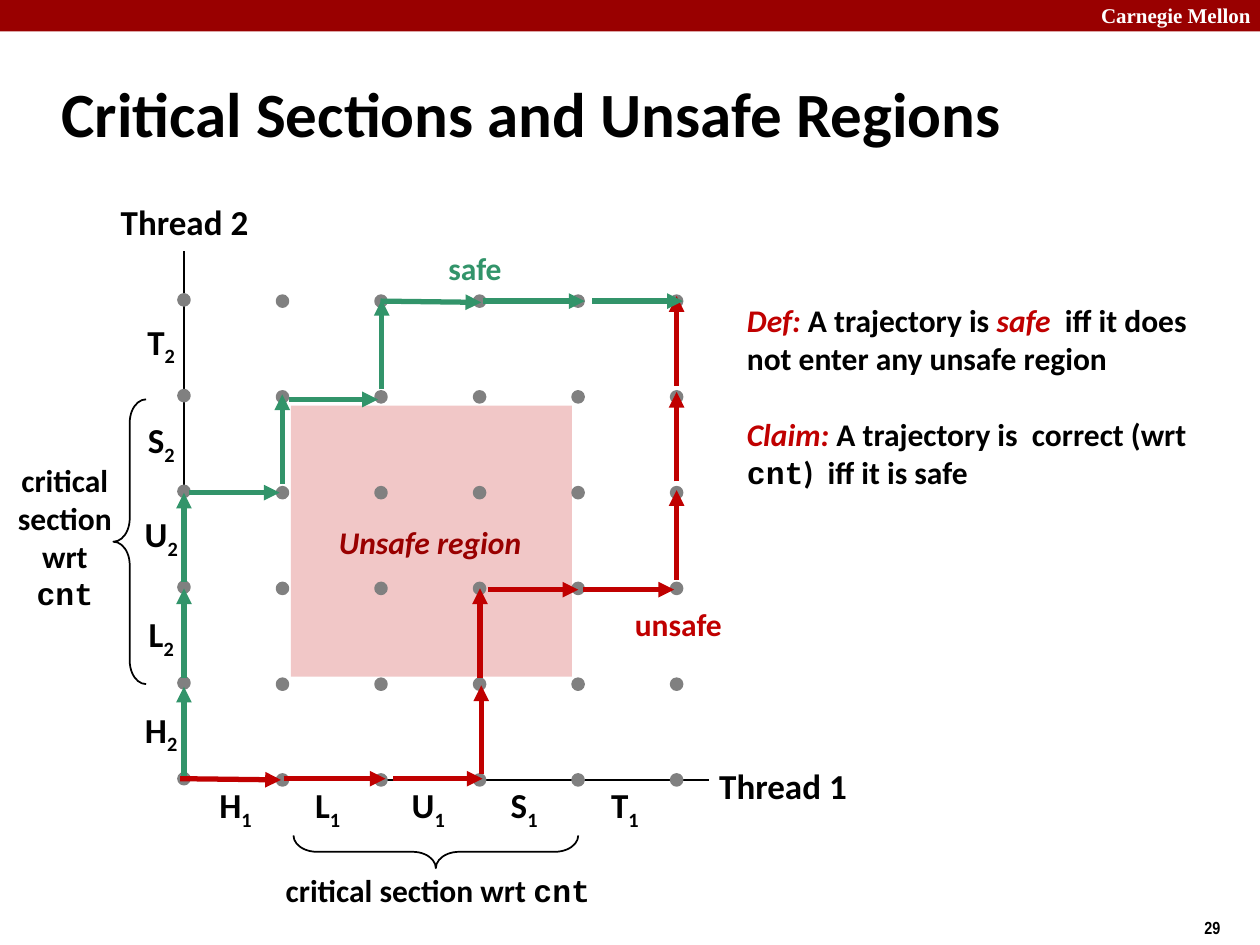
from typing import NamedTuple

from pptx import Presentation
from pptx.dml.color import RGBColor
from pptx.enum.shapes import MSO_CONNECTOR, MSO_SHAPE
from pptx.enum.text import MSO_ANCHOR, PP_ALIGN
from pptx.oxml.ns import qn
from pptx.util import Inches, Pt
from lxml import etree

STRAIGHT = MSO_CONNECTOR.STRAIGHT
RECTANGLE, OVAL, BRACE = MSO_SHAPE.RECTANGLE, MSO_SHAPE.OVAL, MSO_SHAPE.LEFT_BRACE
TOP, MIDDLE = MSO_ANCHOR.TOP, MSO_ANCHOR.MIDDLE
LEFT, CENTER = PP_ALIGN.LEFT, PP_ALIGN.CENTER

COLORS = {
    "black": "000000",
    "white": "FFFFFF",
    "band": "990000",
    "region": "F1C7C7",
    "dot": "808080",
    "unsafe": "C00000",
    "safe": "32946A",
}


class Span(NamedTuple):
    text: str
    color: str = "black"
    font: str = "Calibri"
    italic: bool = False
    subscript: bool = False


class Arrow(NamedTuple):
    x1: float
    y1: float
    x2: float
    y2: float


class Label(NamedTuple):
    letter: str
    across: float  # centre below the horizontal axis
    up: float  # centre beside the vertical axis


def rgb(name: str) -> RGBColor:
    return RGBColor.from_string(COLORS[name])


def add_text(page, paragraphs: list[list[Span]], left: float, top: float, width: float,
             height: float, *, size: float = 18, align=LEFT, anchor=TOP,
             wrap: bool = False, inset: float = 0.05, gap: float = 0):
    """Add a bold text box; gap is the space in points between paragraphs."""
    box = page.shapes.add_textbox(Inches(left), Inches(top), Inches(width), Inches(height))
    frame = box.text_frame
    frame.word_wrap = wrap
    frame.vertical_anchor = anchor
    frame.margin_top = frame.margin_bottom = Inches(inset)
    for index, spans in enumerate(paragraphs):
        para = frame.add_paragraph() if index else frame.paragraphs[0]
        para.alignment = align
        if index:
            para.space_before = Pt(gap)
        for item in spans:
            span = para.add_run()
            span.text = item.text
            font = span.font
            font.name, font.size, font.bold = item.font, Pt(size), True
            font.italic = item.italic
            font.color.rgb = rgb(item.color)
            if item.subscript:
                span._r.get_or_add_rPr().set("baseline", "-25000")
    return box


def add_shape(shapes, kind, left: float, top: float, width: float, height: float, *,
              fill: str = "", line: str = "", weight: float = 1):
    shape = shapes.add_shape(kind, Inches(left), Inches(top), Inches(width), Inches(height))
    shape.shadow.inherit = False
    if fill:
        shape.fill.solid()
        shape.fill.fore_color.rgb = rgb(fill)
    else:
        shape.fill.background()
    if line:
        shape.line.color.rgb = rgb(line)
        shape.line.width = Pt(weight)
    else:
        shape.line.fill.background()
    return shape


def add_line(page, place: Arrow, color: str, weight: float, arrowhead: bool = False) -> None:
    line = page.shapes.add_connector(STRAIGHT, *(Inches(value) for value in place))
    line.line.color.rgb = rgb(color)
    line.line.width = Pt(weight)
    properties = line._element.spPr
    if arrowhead:
        etree.SubElement(properties.find(qn("a:ln")), qn("a:tailEnd"), type="triangle")
    etree.SubElement(properties, qn("a:effectLst"))


def add_brace(page, left: float, top: float, rotation: float = 0) -> None:
    brace = add_shape(page.shapes, BRACE, left, top, 0.26, 2.26, line="black")
    brace.adjustments[0] = 0.715
    brace.rotation = rotation


GRID = 6
DOT = 0.08
GRID_LEFT, GRID_RIGHT = 1.42, 5.33
GRID_TOP, GRID_BOTTOM = 2.35, 6.15
ORIGIN_X, ORIGIN_Y = 1.46, 6.19
LABEL_WIDTH, LABEL_HEIGHT = 0.54, 0.48

LABELS = [
    Label("H", 1.87, 5.81),
    Label("L", 2.6, 5.05),
    Label("U", 3.4, 4.26),
    Label("S", 4.16, 3.51),
    Label("T", 4.96, 2.73),
]

TRAJECTORIES = {
    "unsafe": [
        Arrow(1.43, 6.18, 2.23, 6.19), Arrow(2.25, 6.18, 3.06, 6.18),
        Arrow(3.12, 6.18, 3.83, 6.18), Arrow(3.82, 6.14, 3.82, 5.44),
        Arrow(3.81, 5.38, 3.81, 4.67), Arrow(3.87, 4.68, 4.59, 4.68),
        Arrow(4.63, 4.68, 5.35, 4.68), Arrow(5.37, 4.6, 5.37, 3.89),
        Arrow(5.37, 3.82, 5.37, 3.11), Arrow(5.37, 3.06, 5.37, 2.35),
    ],
    "safe": [
        Arrow(1.46, 6.16, 1.46, 5.45), Arrow(1.46, 5.38, 1.46, 4.67),
        Arrow(1.46, 4.62, 1.46, 3.91), Arrow(1.5, 3.91, 2.22, 3.91),
        Arrow(2.24, 3.84, 2.24, 3.13), Arrow(2.29, 3.17, 3, 3.17),
        Arrow(3.03, 3.09, 3.03, 2.38), Arrow(3.02, 2.39, 3.82, 2.4),
        Arrow(3.83, 2.39, 4.64, 2.39), Arrow(4.7, 2.39, 5.42, 2.39),
    ],
}


def main() -> None:
    deck = Presentation()
    deck.slide_width, deck.slide_height = Inches(10), Inches(7.5)
    page = deck.slides.add_slide(deck.slide_layouts[6])

    # Header band, page number and title
    add_shape(page.shapes, RECTANGLE, 0, 0, 10, 0.25, fill="band")
    add_text(page, [[Span("Carnegie Mellon", "white", "Times New Roman")]],
             8.64, -0.03, 1.43, 0.3, size=12)
    add_text(page, [[Span("29", font="Arial Narrow")]], 9.46, 7.23, 0.75, 0.27, size=10)
    add_text(page, [[Span("Critical Sections and Unsafe Regions")]],
             0.39, 0.48, 8.3, 0.83, size=36, anchor=MIDDLE, wrap=True)

    # Unsafe region and axes
    add_shape(page.shapes, RECTANGLE, 2.31, 3.22, 2.23, 2.15, fill="region")
    add_line(page, Arrow(ORIGIN_X, ORIGIN_Y, 5.63, ORIGIN_Y), "black", 1)
    add_line(page, Arrow(ORIGIN_X, ORIGIN_Y, ORIGIN_X, 1.99), "black", 1)
    for name, left, top in (("Thread 1", 5.56, 6.02), ("Thread 2", 0.81, 1.54)):
        add_text(page, [[Span(name)]], left, top, 1.31, 0.43,
                 size=20, align=CENTER, anchor=MIDDLE)

    # Operation labels along both axes
    for label in LABELS:
        for thread, x, y in (("1", label.across, 6.41), ("2", 1.28, label.up)):
            add_text(page, [[Span(label.letter), Span(thread, subscript=True)]],
                     x - LABEL_WIDTH / 2, y - LABEL_HEIGHT / 2, LABEL_WIDTH, LABEL_HEIGHT,
                     size=20, align=CENTER, anchor=MIDDLE)

    # State dots, one group per column; the first column sits slightly higher
    for column in range(GRID):
        group = page.shapes.add_group_shape()
        x = GRID_LEFT + column * (GRID_RIGHT - GRID_LEFT) / (GRID - 1)
        lift = 0 if column else 0.01
        for row in range(GRID):
            y = GRID_BOTTOM - row * (GRID_BOTTOM - GRID_TOP) / (GRID - 1) - lift
            add_shape(group.shapes, OVAL, x, y, DOT, DOT, fill="dot", line="dot", weight=2)

    # Critical section braces and captions
    add_brace(page, 0.9, 3.17)
    add_brace(page, 3.33, 5.63, rotation=270)
    caption = [[Span("critical section wrt "), Span("cnt", font="Courier New")]]
    add_text(page, caption, 2.07, 6.86, 2.81, 0.4, align=CENTER, anchor=MIDDLE)
    add_text(page, caption, 0, 3.61, 1.03, 1.3, align=CENTER, anchor=MIDDLE, wrap=True)

    # Region name and definitions
    add_text(page, [[Span("Unsafe region", "band", italic=True)]], 2.59, 4.1, 1.65, 0.4)
    add_text(page, [
        [Span("Def: ", "unsafe", italic=True), Span("A trajectory is "),
         Span("safe  ", "unsafe", italic=True),
         Span("iff it does not enter any unsafe region")],
        [Span("Claim: ", "unsafe", italic=True), Span("A trajectory is  correct (wrt "),
         Span("cnt", font="Courier New"), Span(")  iff it is safe")],
    ], 5.83, 2.39, 3.83, 1.8, wrap=True, inset=0, gap=22)

    # Trajectories and their names
    for color, arrows in TRAJECTORIES.items():
        for arrow in arrows:
            add_line(page, arrow, color, 3, arrowhead=True)
    add_text(page, [[Span("unsafe", "unsafe")]], 4.94, 4.75, 0.89, 0.4)
    add_text(page, [[Span("safe", "safe")]], 3.46, 1.93, 0.62, 0.4)

    deck.save("out.pptx")


if __name__ == "__main__":
    main()
